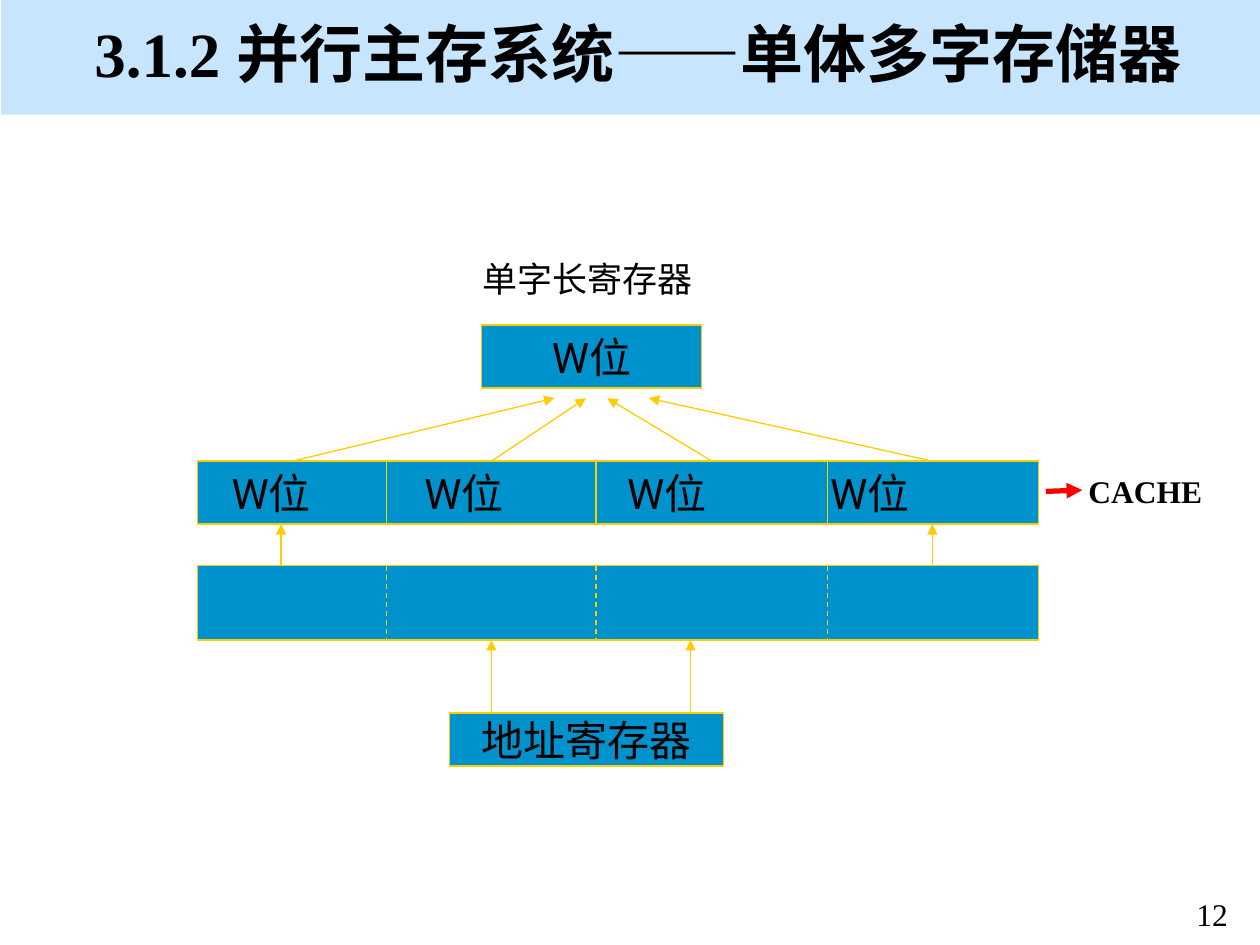
from lxml.etree import SubElement
from pptx import Presentation
from pptx.dml.color import RGBColor
from pptx.enum.dml import MSO_LINE as Dash
from pptx.enum.shapes import MSO_CONNECTOR as Conn, MSO_SHAPE as Shape
from pptx.enum.text import MSO_ANCHOR as Anchor, PP_ALIGN as Align
from pptx.oxml.ns import qn
from pptx.util import Inches, Pt

HUE = {"band": "C7E6FD", "box": "0092CC", "line": "FFCC00",
       "hot": "FF0000", "ink": "000000"}
SERIF, SANS = "Times New Roman", "Roboto"

# Rows of the diagram: top, bottom
WORD, WIDE, STORE, ADDR = (2.58, 3.08), (3.66, 4.16), (4.49, 5.08), (5.66, 6.08)
LEFT, RIGHT = 1.57, 8.24
CUTS = [3.07, 4.73, 6.57]
TIPS = 3.16

# left, right, row, text
BOXES = [
    (3.57, 5.74, ADDR, "地址寄存器"),
    (LEFT, RIGHT, STORE, ""),
    (LEFT, RIGHT, WIDE, "\tW位" * 4),
    (3.82, 5.57, WORD, "W位"),
]
STOPS = [0.17, 1.7, 3.31, 4.92]

# left, top, width, height, text, size, font, bold, align
TEXTS = [
    (0.65, 0.08, 9.15, 0.67, "3.1.2 并行主存系统——单体多字存储器", 36, SERIF, True, Align.LEFT),
    (3.73, 1.99, 1.92, 0.44, "单字长寄存器", 20, SANS, False, Align.LEFT),
    (8.54, 3.7, 1.1, 0.4, "CACHE", 18, SERIF, True, Align.CENTER),
    (9.27, 7.09, 0.7, 0.33, "12", 18, SERIF, False, Align.CENTER),
]

# Arrows: start x, end x
FAN = [(3.9, 4.65), (5.65, 4.82), (2.32, 4.4), (7.4, 5.15)]
RISE = [(3.9, ADDR, STORE), (5.48, ADDR, STORE), (2.23, STORE, WIDE), (7.4, STORE, WIDE)]


def rgb(name):
    return RGBColor.from_string(HUE[name])


def write(shape, text, size, font, bold=False, align=Align.CENTER):
    frame = shape.text_frame
    frame.word_wrap = True
    frame.vertical_anchor = Anchor.MIDDLE
    para = frame.paragraphs[0]
    para.alignment = align
    if "\t" in text:
        tabs = SubElement(para._p.get_or_add_pPr(), qn("a:tabLst"))
        for stop in STOPS:
            SubElement(tabs, qn("a:tab"), pos=str(Inches(stop)), algn="l")
    run = para.add_run()
    run.text = text
    run.font.size, run.font.name, run.font.bold = Pt(size), font, bold
    run.font.color.rgb = rgb("ink")


def block(shapes, left, top, right, low, fill, edge=None):
    shape = shapes.add_shape(Shape.RECTANGLE, *map(Inches, (left, top, right - left, low - top)))
    shape.shadow.inherit = False
    shape.fill.solid()
    shape.fill.fore_color.rgb = rgb(fill)
    if edge:
        shape.line.color.rgb = rgb(edge)
        shape.line.width = Pt(0.75)
    else:
        shape.line.fill.background()
    return shape


def link(shapes, start, end, hue="line", width=0.75, dash=False, head=True):
    line = shapes.add_connector(Conn.STRAIGHT, *map(Inches, (*start, *end)))
    line.line.color.rgb = rgb(hue)
    line.line.width = Pt(width)
    if dash:
        line.line.dash_style = Dash.DASH
    if head:
        SubElement(line.line._get_or_add_ln(), qn("a:tailEnd"), type="triangle")
    SubElement(line._element.spPr, qn("a:effectLst"))


def main():
    deck = Presentation()
    deck.slide_width, deck.slide_height = Inches(10), Inches(7.5)
    shapes = deck.slides.add_slide(deck.slide_layouts[6]).shapes

    block(shapes, 0.01, 0, 10, 0.91, "band")
    for left, right, (top, low), text in BOXES:
        box = block(shapes, left, top, right, low, "box", "line")
        if text:
            write(box, text, 24, SANS, align=Align.LEFT if "\t" in text else Align.CENTER)

    for row in (STORE, WIDE):
        for x in CUTS:
            link(shapes, (x, row[0]), (x, row[1]), dash=row is STORE, head=False)
    for x, low, high in RISE:
        link(shapes, (x, low[0]), (x, high[1]))
    for x, tip in FAN:
        link(shapes, (x, WIDE[0]), (tip, TIPS))
    link(shapes, (8.3, 3.9), (8.59, 3.89), "hot", 3)

    for left, top, width, height, *text in TEXTS:
        write(shapes.add_textbox(*map(Inches, (left, top, width, height))), *text)
    deck.save("out.pptx")


if __name__ == "__main__":
    main()
